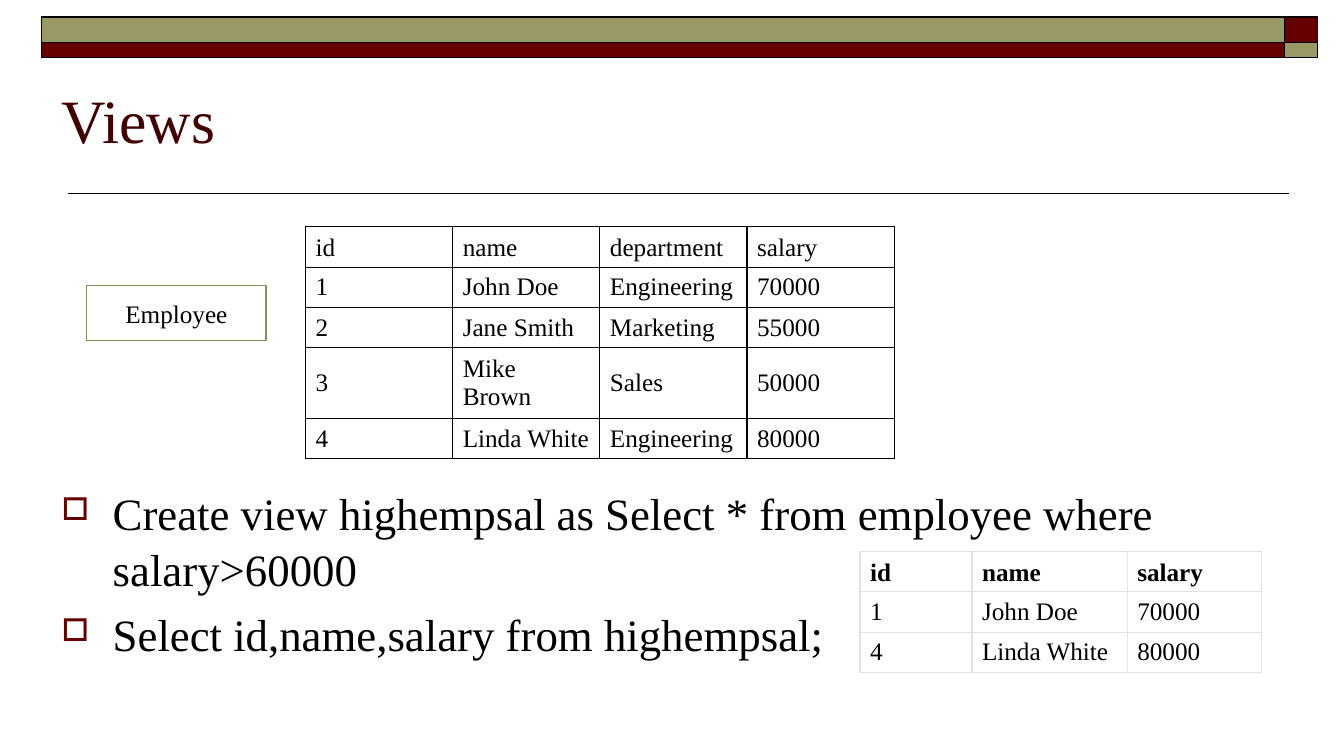
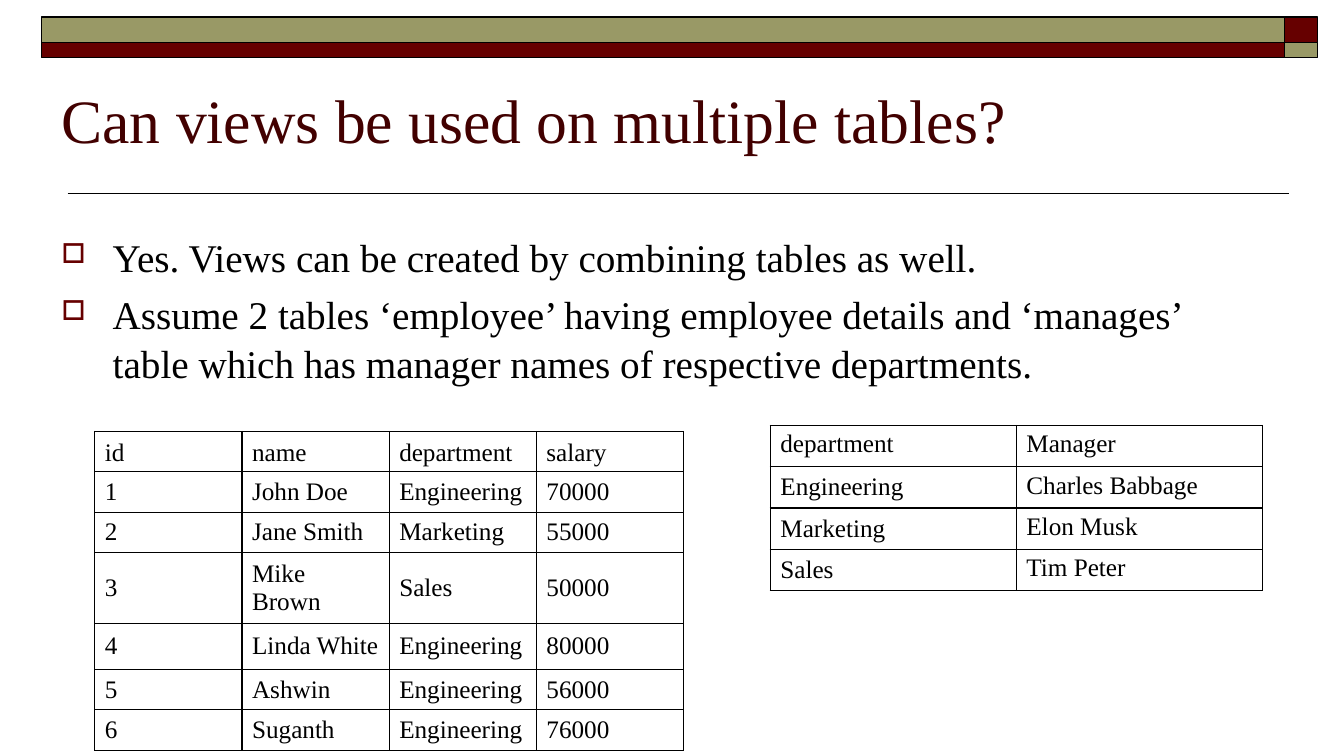
import pptx
import pptx.util
import lxml.etree
from pptx.dml.color import RGBColor
from pptx.enum.shapes import MSO_CONNECTOR, MSO_SHAPE
from pptx.enum.text import MSO_ANCHOR, PP_ALIGN
from pptx.oxml.ns import qn

Inches, Pt = pptx.util.Inches, pptx.util.Pt

# Shared look
FONT = "Times New Roman"
BLACK = RGBColor(0x00, 0x00, 0x00)
WHITE = RGBColor(0xFF, 0xFF, 0xFF)
MAROON = RGBColor(0x66, 0x00, 0x00)
DARK_MAROON = RGBColor(0x42, 0x00, 0x00)
OLIVE = RGBColor(0x99, 0x99, 0x66)
DARK_OLIVE = RGBColor(0x8A, 0x8A, 0x5C)
PALE_GREY = RGBColor(0xE3, 0xE3, 0xE3)
TOP, MIDDLE, BOTTOM = MSO_ANCHOR.TOP, MSO_ANCHOR.MIDDLE, MSO_ANCHOR.BOTTOM

SLIDE_SIZE = (13.33, 7.5)
TEXT_LEFT, TEXT_WIDTH = 0.51, 12
TITLE_BOX = (TEXT_LEFT, 0.35, TEXT_WIDTH, 1.25)
RULE_Y, RULE_ENDS = 1.92, (0.67, 12.78)
BAND_COLUMNS = [(0.41, 12.33), (12.74, 0.33)]
BAND_ROWS = [(0.17, 0.25, (OLIVE, MAROON)), (0.42, 0.15, (MAROON, OLIVE))]
ROW, MEDIUM_ROW, TALL_ROW = 0.37, 0.46, 0.65

# Content
EMPLOYEES = [
    ("id", "name", "department", "salary"),
    ("1", "John Doe", "Engineering", "70000"),
    ("2", "Jane Smith", "Marketing", "55000"),
    ("3", "Mike Brown", "Sales", "50000"),
    ("4", "Linda White", "Engineering", "80000"),
]
NEW_EMPLOYEES = [
    ("5", "Ashwin", "Engineering", "56000"),
    ("6", "Suganth", "Engineering", "76000"),
]
HIGH_SALARIES = [
    ("id", "name", "salary"),
    ("1", "John Doe", "70000"),
    ("4", "Linda White", "80000"),
]
MANAGERS = [
    ("department", "Manager"),
    ("Engineering", "Charles Babbage"),
    ("Marketing", "Elon Musk"),
    ("Sales", "Tim Peter"),
]
SLIDES = [
    {
        "title": "Views",
        "bullets": [
            "Create view highempsal as Select * from employee where salary>60000",
            "Select id,name,salary from highempsal;",
        ],
        "bullet_size": 32, "bullet_top": 4.75,
        "label": ("Employee", (0.86, 2.83, 1.78, 0.55)),
        "tables": [
            {"rows": EMPLOYEES, "at": (3.03, 2.25), "columns": [1.46] * 4,
             "heights": [ROW] * 3 + [TALL_ROW, ROW]},
            {"rows": HIGH_SALARIES, "at": (8.53, 5.47),
             "columns": [1.11, 1.54, 1.33], "heights": [ROW] * 3,
             "border": PALE_GREY, "fill": WHITE, "bold_header": True},
        ],
    },
    {
        "title": "Can views be used on multiple tables?",
        "bullets": [
            "Yes. Views can be created by combining tables as well.",
            "Assume 2 tables ‘employee’ having employee details and ‘manages’ "
            "table which has manager names of respective departments.",
        ],
        "bullet_size": 28, "bullet_top": 2.25,
        "tables": [
            {"rows": MANAGERS, "at": (7.64, 4.22), "columns": [2.44] * 2,
             "heights": [0.41] * 4, "header_anchor": TOP,
             "column_anchors": [MIDDLE, TOP]},
            {"rows": EMPLOYEES + NEW_EMPLOYEES, "at": (0.94, 4.28),
             "columns": [1.46] * 4,
             "heights": [ROW] * 3 + [TALL_ROW, MEDIUM_ROW, ROW, ROW]},
        ],
    },
]


def inches(values):
    return [Inches(value) for value in values]


def set_all(target, values):
    for name, value in values.items():
        setattr(target, name, value)


def write(para, text, size, color=BLACK, bold=False):
    span = para.add_run()
    span.text = text
    set_all(span.font, {"name": FONT, "size": Pt(size), "bold": bold})
    span.font.color.rgb = color


def add_box(page, kind, at, fill, line):
    box = page.shapes.add_shape(kind, *inches(at))
    box.shadow.inherit = False
    box.fill.solid()
    box.fill.fore_color.rgb = fill
    box.line.color.rgb = line
    box.line.width = Pt(1)
    return box


def add_frame(page, layout):
    """Draw the bands and the title rule, then hand them to the layout."""
    left, right = RULE_ENDS
    rule = page.shapes.add_connector(
        MSO_CONNECTOR.STRAIGHT, *inches((left, RULE_Y, right, RULE_Y)))
    rule.line.color.rgb = BLACK
    rule.line.width = Pt(1)
    lxml.etree.SubElement(rule.element.spPr, qn("a:effectLst"))
    parts = [rule]
    for top, height, colors in BAND_ROWS:
        for (left, width), color in zip(BAND_COLUMNS, colors):
            parts.append(add_box(page, MSO_SHAPE.RECTANGLE,
                                 (left, top, width, height), color, BLACK))
    for number, part in enumerate(parts, start=101):
        part.element.xpath(".//p:cNvPr")[0].set("id", str(number))
        layout.shapes.element.append(part.element)


def add_title(page, text):
    title = page.shapes.title
    set_all(title, dict(zip(("left", "top", "width", "height"), inches(TITLE_BOX))))
    frame = title.text_frame
    set_all(frame, {"vertical_anchor": BOTTOM, "word_wrap": True})
    para = frame.paragraphs[0]
    para.alignment = PP_ALIGN.LEFT
    write(para, text, 44, DARK_MAROON)


def add_bullet_mark(para):
    props = para._p.get_or_add_pPr()
    indent = Inches(0.51)
    props.set("marL", str(indent))
    props.set("indent", str(-indent))
    color = lxml.etree.SubElement(props, qn("a:buClr"))
    lxml.etree.SubElement(color, qn("a:srgbClr")).set("val", str(MAROON))
    lxml.etree.SubElement(props, qn("a:buSzPct")).set("val", "70000")
    lxml.etree.SubElement(props, qn("a:buChar")).set("char", "□")


def add_bullets(page, texts, size, top):
    box = page.shapes.add_textbox(
        *inches((TEXT_LEFT, top, TEXT_WIDTH, 6.82 - top)))
    frame = box.text_frame
    frame.word_wrap = True
    for index, text in enumerate(texts):
        para = frame.add_paragraph() if index else frame.paragraphs[0]
        set_all(para, {"space_before": Pt(size * 0.2), "line_spacing": 1.04})
        add_bullet_mark(para)
        write(para, text, size)


def add_borders(cell, color):
    props = cell._tc.get_or_add_tcPr()
    for index, side in enumerate(("lnL", "lnR", "lnT", "lnB")):
        line = lxml.etree.Element(qn("a:" + side), w=str(Pt(1)))
        fill = lxml.etree.SubElement(line, qn("a:solidFill"))
        lxml.etree.SubElement(fill, qn("a:srgbClr")).set("val", str(color))
        props.insert(index, line)


def add_grid(page, rows, at, columns, heights, border=BLACK, fill=None,
             bold_header=False, header_anchor=BOTTOM, column_anchors=None):
    size = (sum(columns), sum(heights))
    table = page.shapes.add_table(
        len(rows), len(columns), *inches(at + size)).table
    set_all(table, {"first_row": False, "horz_banding": False})
    for column, width in zip(table.columns, columns):
        column.width = Inches(width)
    anchors = column_anchors or [MIDDLE] * len(columns)
    for r, (texts, height) in enumerate(zip(rows, heights)):
        table.rows[r].height = Inches(height)
        for c, text in enumerate(texts):
            cell = table.cell(r, c)
            cell.vertical_anchor = anchors[c] if r else header_anchor
            if fill is None:
                cell.fill.background()
            else:
                cell.fill.solid()
                cell.fill.fore_color.rgb = fill
            add_borders(cell, border)
            write(cell.text_frame.paragraphs[0], text, 18,
                  bold=bold_header and r == 0)


def add_label(page, text, at):
    box = add_box(page, MSO_SHAPE.FLOWCHART_PROCESS, at, WHITE, DARK_OLIVE)
    box.text_frame.vertical_anchor = MIDDLE
    para = box.text_frame.paragraphs[0]
    para.alignment = PP_ALIGN.CENTER
    write(para, text, 18)


def main():
    deck = pptx.Presentation()
    deck.slide_width, deck.slide_height = inches(SLIDE_SIZE)
    layout = deck.slide_layouts.get_by_name("Title Only")
    for index, content in enumerate(SLIDES):
        page = deck.slides.add_slide(layout)
        if index == 0:
            add_frame(page, layout)
        add_title(page, content["title"])
        add_bullets(page, content["bullets"], content["bullet_size"],
                    content["bullet_top"])
        for table in content["tables"]:
            add_grid(page, **table)
        if "label" in content:
            add_label(page, *content["label"])
    deck.save("out.pptx")


if __name__ == "__main__":
    main()
